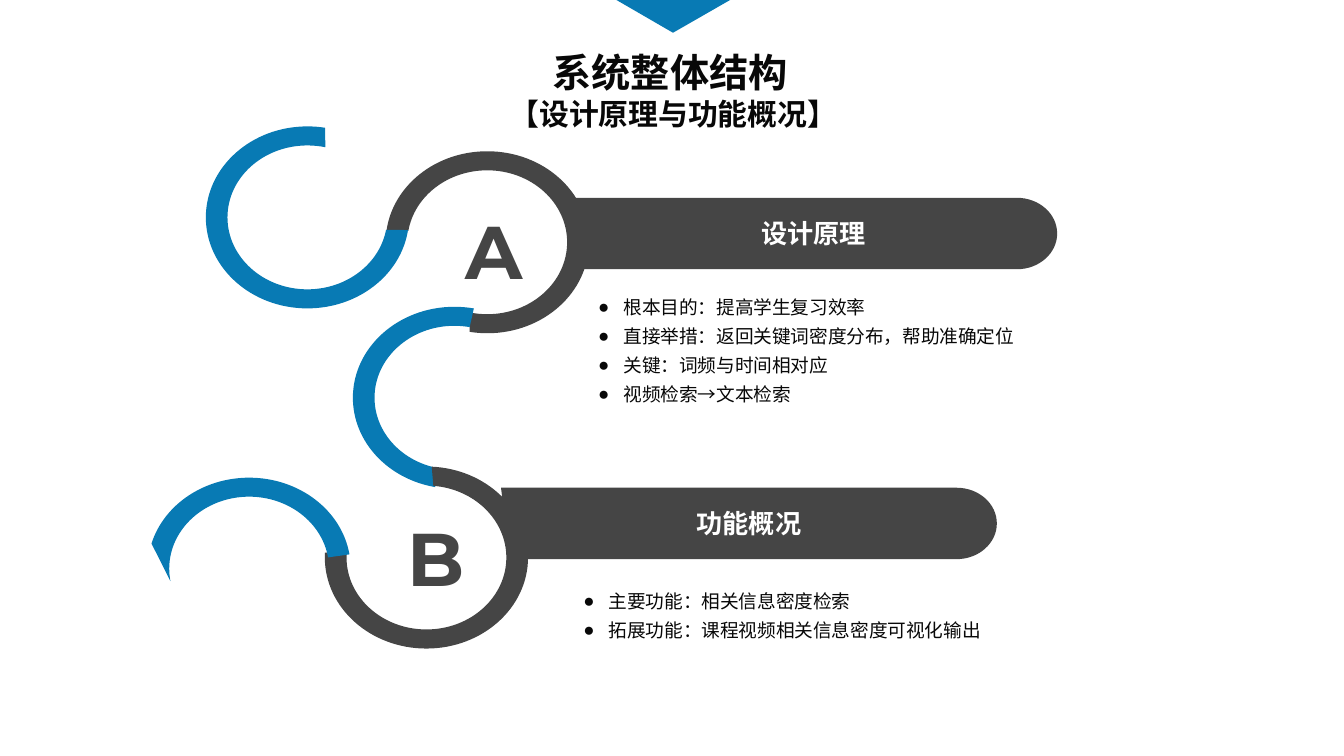
import math

import pptx
import pptx.dml.color
import pptx.enum.text
import pptx.oxml
import pptx.util

Cm = pptx.util.Cm
COLOURS = {"dark": "454545", "blue": "087AB4", "text": "080808", "white": "FFFFFF"}
CJK = "Noto Sans CJK SC"
OUTER, INNER = (1.92, 1.72), (1.51, 1.36)
BAR_HEIGHT, CAP_WIDTH = 1.35, 0.76


def element(tag, **attributes):
    node = pptx.oxml.xmlchemy.OxmlElement(tag)
    for name, value in attributes.items():
        node.set(name, value)
    return node


def arc(centre, radii, start, end):
    """A line to the start of an elliptical arc, then one curve per quadrant.

    Angles are in degrees, clockwise from the right, and start is below end.
    """
    def at(angle, push=0):
        c, s = math.cos(math.radians(angle)), math.sin(math.radians(angle))
        return (centre[0] + radii[0] * (c - push * s),
                centre[1] + radii[1] * (s + push * c))

    turns = range(90 * (start // 90 + 1), end, 90)
    stops = [start, *turns, end]
    steps = [[at(start)]]
    for a, b in zip(stops, stops[1:]):
        push = 4 / 3 * math.tan(math.radians(b - a) / 4)
        steps.append([at(a, push), at(b, -push), at(b)])
    return steps


def backwards(steps):
    """The same run of lines and curves, drawn from its end to its start."""
    points = [point for step in steps for point in step][::-1]
    return [points[:1]] + [points[i:i + 3] for i in range(1, len(points), 3)]


class Builder:
    def __init__(self, page):
        self.page = page

    def outline(self, steps, colour):
        """Draw steps of one point (line) or three points (curve)."""
        points = [(Cm(x), Cm(y)) for step in steps for x, y in step]
        pen = self.page.shapes.build_freeform(*points[0])
        pen.add_line_segments(points[1:], close=True)
        shape = pen.convert_to_shape()
        lines = iter(shape._element.findall(".//" + pptx.oxml.ns.qn("a:lnTo")))
        for step in steps[1:]:
            group = [next(lines) for _ in step]
            if len(group) == 3:
                curve = element("a:cubicBezTo")
                group[0].addprevious(curve)
                for line in group:
                    curve.append(line[0])
                    line.getparent().remove(line)
        shape.shadow.inherit = False
        shape.fill.solid()
        shape.fill.fore_color.rgb = pptx.dml.color.RGBColor.from_string(COLOURS[colour])
        shape.line.fill.background()
        return shape

    def ring(self, centre, outer, inner, colour):
        edge = arc(centre, OUTER, *outer) + backwards(arc(centre, INNER, *inner))
        self.outline(edge, colour)

    def bar(self, left, top, right, foot, text):
        middle = top + BAR_HEIGHT / 2
        cap = arc((right - CAP_WIDTH, middle), (CAP_WIDTH, BAR_HEIGHT / 2), -90, 90)
        shape = self.outline([[(left, top)], *cap, [(foot, top + BAR_HEIGHT)]], "dark")
        shape.text_frame.vertical_anchor = pptx.enum.text.MSO_ANCHOR.MIDDLE
        para = shape.text_frame.paragraphs[0]
        para.alignment = pptx.enum.text.PP_ALIGN.CENTER
        self.span(para, text, 14, CJK, "white", True)

    def span(self, para, text, size, font, colour, bold=False):
        span = para.add_run()
        span.text = text
        span.font.size = pptx.util.Pt(size)
        span.font.name = font
        span.font.bold = bold
        span.font.color.rgb = pptx.dml.color.RGBColor.from_string(COLOURS[colour])
        latin = span.font._element.find(pptx.oxml.ns.qn("a:latin"))
        latin.addnext(element("a:ea", typeface=CJK))

    def place(self, box, left, top, width, height):
        box.left, box.top, box.width, box.height = map(Cm, (left, top, width, height))
        frame = box.text_frame
        frame.word_wrap = True
        frame.auto_size = pptx.enum.text.MSO_AUTO_SIZE.NONE
        frame.vertical_anchor = pptx.enum.text.MSO_ANCHOR.TOP
        return frame

    def letter(self, text, *area):
        box = self.page.shapes.add_textbox(0, 0, 0, 0)
        frame = self.place(box, *area)
        self.span(frame.paragraphs[0], text, 40, "Montserrat", "dark", True)

    def title(self, lines, *area):
        frame = self.place(self.page.shapes.title, *area)
        for i, (text, size) in enumerate(lines):
            para = frame.add_paragraph() if i else frame.paragraphs[0]
            para.alignment = pptx.enum.text.PP_ALIGN.CENTER
            self.span(para, text, size, "Calibri", "text", True)

    def bullets(self, index, items, *area):
        frame = self.place(self.page.placeholders[index], *area)
        for i, text in enumerate(items):
            para = frame.add_paragraph() if i else frame.paragraphs[0]
            para.line_spacing = 1.3
            para.space_before = pptx.util.Pt(0)
            props = para._p.get_or_add_pPr()
            props.set("marL", str(Cm(0.48)))
            props.set("indent", str(-Cm(0.48)))
            props.append(element("a:buChar", char="●"))
            self.span(para, text, 10, CJK, "text")


def main():
    deck = pptx.Presentation()
    deck.slide_width, deck.slide_height = Cm(25.4), Cm(14.29)
    # The two-content layout gives a title and two lists
    build = Builder(deck.slides.add_slide(deck.slide_layouts[3]))

    # Winding ribbon: centre, outer angles, inner angles, colour
    for ring in [
        ((9.21, 4.58), (187, 460), (189, 463), "dark"),
        ((8.59, 7.52), (101, 281), (101, 281), "blue"),
        ((8.06, 10.54), (273, 543), (275, 546), "dark"),
        ((5.81, 4.11), (8, 280), (10, 283), "blue"),
        ((4.71, 10.75), (196, 351), (170, 351), "blue"),
    ]:
        build.ring(*ring)

    # Section bars and letters
    build.bar(10.77, 3.74, 19.98, 10.77, "设计原理")
    build.bar(9.47, 9.22, 18.84, 9.63, "功能概况")
    build.letter("A", 8.55, 3.74, 1.4, 1.96)
    build.letter("B", 7.45, 9.55, 0.74, 2.03)

    # Section lists
    build.bullets(1, ["根本目的：提高学生复习效率",
                      "直接举措：返回关键词密度分布，帮助准确定位",
                      "关键：词频与时间相对应",
                      "视频检索→文本检索"], 11.05, 5.33, 8.56, 2.41)
    build.bullets(2, ["主要功能：相关信息密度检索",
                      "拓展功能：课程视频相关信息密度可视化输出"], 10.77, 10.9, 8.26, 1.3)

    # Heading and top marker
    build.title([("系统整体结构", 21), (" 【设计原理与功能概况】", 16)],
                8.65, 0.79, 8.03, 1.83)
    build.outline([[(11.65, 0)], [(13.8, 0)], [(12.72, 0.62)]], "blue")

    deck.save("out.pptx")


if __name__ == "__main__":
    main()
